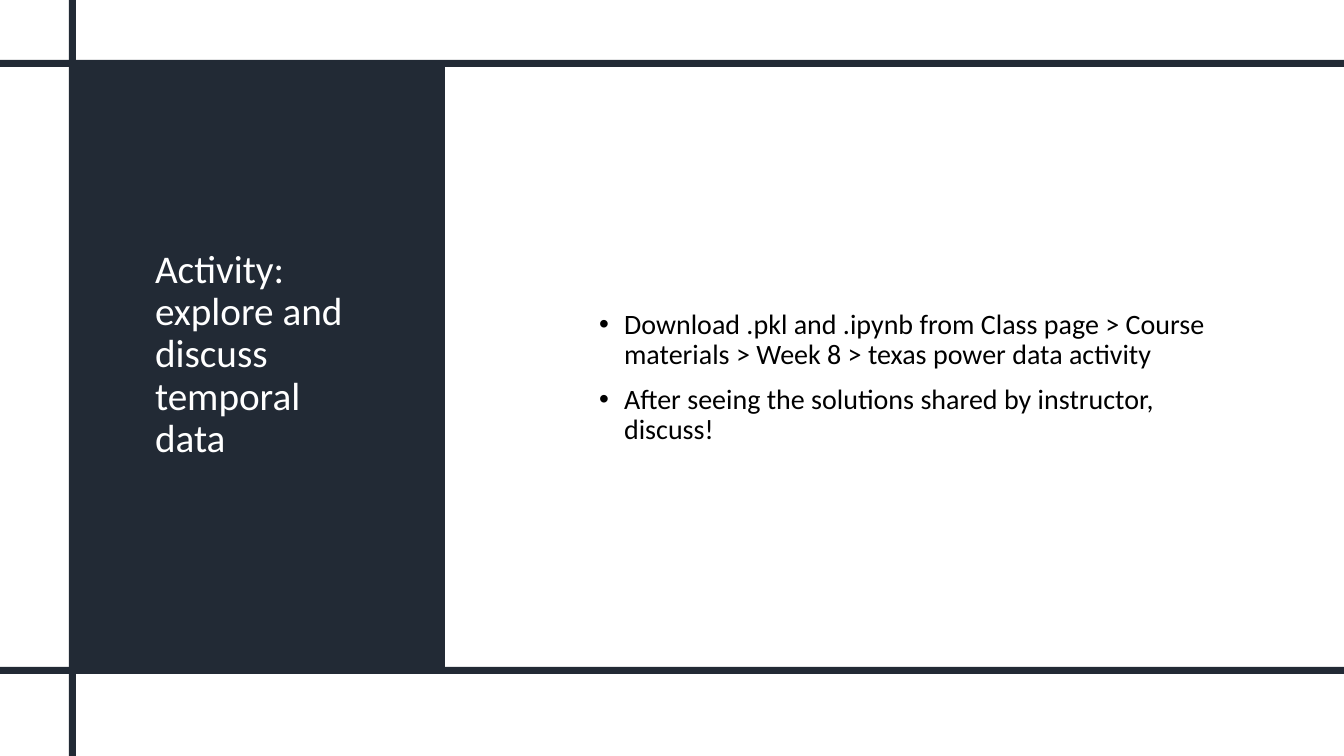
from lxml import etree
from pptx import Presentation
from pptx.dml.color import RGBColor
from pptx.enum.shapes import MSO_SHAPE
from pptx.enum.text import MSO_ANCHOR, MSO_AUTO_SIZE, PP_ALIGN
from pptx.oxml.ns import qn
from pptx.util import Pt

RECT = MSO_SHAPE.RECTANGLE
MIDDLE = MSO_ANCHOR.MIDDLE
NO_FIT = MSO_AUTO_SIZE.NONE
LEFT = PP_ALIGN.LEFT

NAVY = RGBColor(0x22, 0x2A, 0x35)
WHITE = RGBColor(0xFF, 0xFF, 0xFF)
BLACK = RGBColor(0x00, 0x00, 0x00)

FONT = "Calibri"
WIDE, HIGH = 1344, 756
BAR = 7
INDENT = 25

TITLE = "Activity: explore and discuss temporal data"
TASKS = [
    "Download .pkl and .ipynb from Class page > Course materials"
    " > Week 8 > texas power data activity",
    "After seeing the solutions shared by instructor, discuss!",
]


def px(n):
    return round(n * 914400 / 100.8)


def add_rect(slide, x, y, w, h):
    rect = slide.shapes.add_shape(RECT, px(x), px(y), px(w), px(h))
    rect.fill.solid()
    rect.fill.fore_color.rgb = NAVY
    rect.line.fill.background()
    rect.shadow.inherit = False
    return rect


def place(shape, x, y, w, h):
    shape.left, shape.top = px(x), px(y)
    shape.width, shape.height = px(w), px(h)


def add_bullet(para):
    props = para._p.get_or_add_pPr()
    props.set("marL", str(px(INDENT)))
    props.set("indent", str(-px(INDENT)))
    etree.SubElement(props, qn("a:buFont")).set("typeface", "Arial")
    etree.SubElement(props, qn("a:buChar")).set("char", "•")


def write(shape, lines, size, color, before=0, bullet=False):
    frame = shape.text_frame
    frame.text = "\n".join(lines)
    frame.word_wrap = True
    frame.auto_size = NO_FIT
    frame.vertical_anchor = MIDDLE
    for para in frame.paragraphs:
        para.alignment = LEFT
        para.line_spacing = 0.9
        para.space_before = Pt(before)
        if bullet:
            add_bullet(para)
        font = para.runs[0].font
        font.name, font.size = FONT, Pt(size)
        font.color.rgb = color


def main():
    deck = Presentation()
    deck.slide_width, deck.slide_height = px(WIDE), px(HIGH)
    slide = deck.slides.add_slide(deck.slide_layouts[1])
    title, body = slide.placeholders

    panel = add_rect(slide, 72, 67, 373, 600)
    title._element.addprevious(panel._element)

    place(title, 145, 111, 224, 488)
    write(title, [TITLE], size=28, color=WHITE)
    place(body, 589, 142, 639, 472)
    write(body, TASKS, size=20, color=BLACK, before=10, bullet=True)

    for y in (667, 60):
        add_rect(slide, 0, y, WIDE, BAR)
    add_rect(slide, 69, 0, BAR, HIGH)

    deck.save("out.pptx")


if __name__ == "__main__":
    main()
